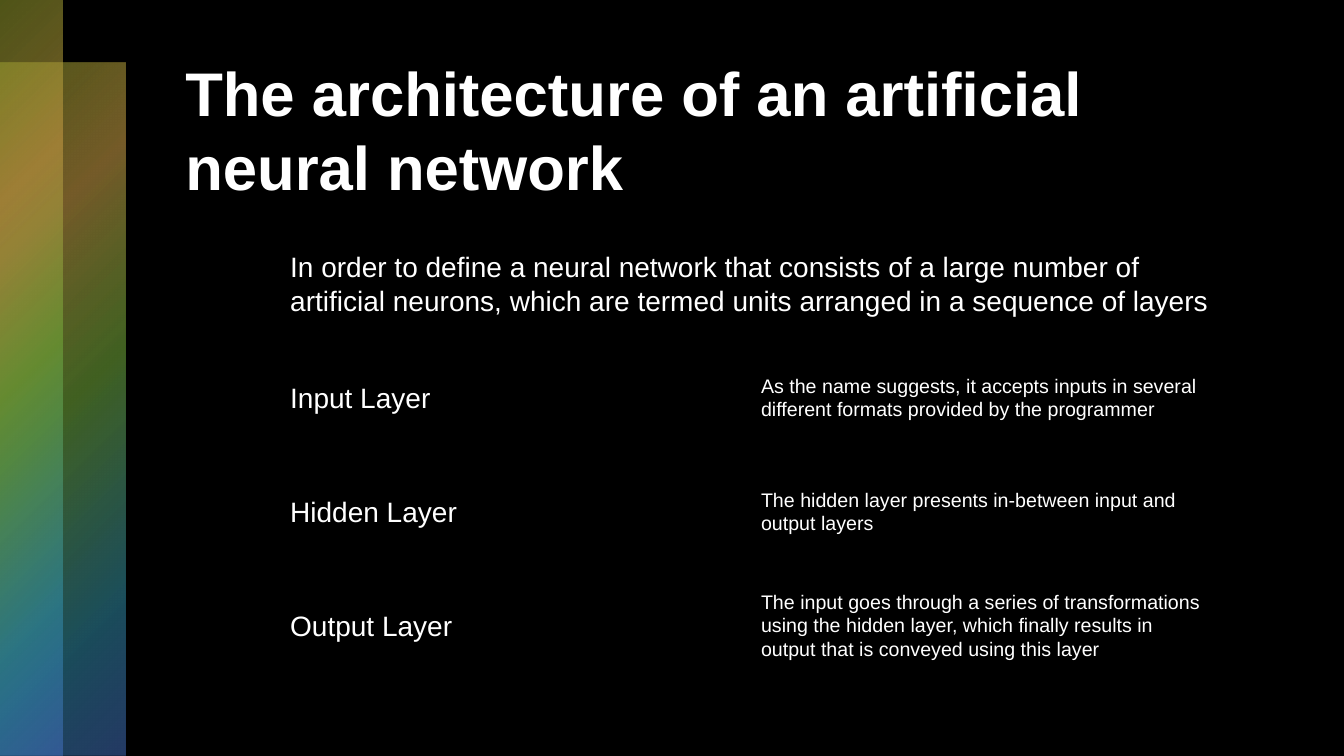
from dataclasses import dataclass

from lxml.etree import SubElement
from pptx import Presentation
from pptx.dml.color import RGBColor
from pptx.enum.shapes import MSO_SHAPE
from pptx.enum.text import MSO_ANCHOR
from pptx.oxml.ns import qn
from pptx.util import Inches, Pt

COLORS = {
    "black": "000000",
    "white": "FFFFFF",
    "olive": "9EA930",
    "amber": "C29844",
    "green": "76B03D",
    "teal": "3599B7",
    "blue": "4774C9",
}
SLIDE_WIDTH, SLIDE_HEIGHT = 13.33, 7.5


@dataclass(frozen=True)
class Band:
    top: float
    width: float
    green_stop: int


@dataclass(frozen=True)
class Label:
    text: str
    left: float
    top: float
    width: float
    height: float
    size: int
    bold: bool = False
    anchor: MSO_ANCHOR = MSO_ANCHOR.MIDDLE
    inset: float = 0.1


@dataclass(frozen=True)
class Layer:
    name: str
    description: str


BANDS = [Band(0.62, 1.24, 50), Band(0, 0.62, 49)]
CARD_LEFT, CARD_WIDTH = 1.74, 10.37
TITLE = Label("The architecture of an artificial neural network",
              CARD_LEFT, 0.5, CARD_WIDTH, 1.7, 44, True, MSO_ANCHOR.TOP, 0.05)
LAYERS = [
    Layer("Input Layer",
          "As the name suggests, it accepts inputs in several different "
          "formats provided by the programmer"),
    Layer("Hidden Layer",
          "The hidden layer presents in-between input and output layers"),
    Layer("Output Layer",
          "The input goes through a series of transformations using the "
          "hidden layer, which finally results in output that is conveyed "
          "using this layer"),
]
ROW_TOP, ROW_STEP, ROW_HEIGHT = 2.36, 1.13, 0.9
NAME_LEFT, DESCRIPTION_LEFT, COLUMN_WIDTH = 2.78, 7.45, 4.66
INTRO = Label("In order to define a neural network that consists of a large "
              "number of artificial neurons, which are termed units arranged "
              "in a sequence of layers",
              NAME_LEFT, ROW_TOP, 9.33, ROW_HEIGHT, 20)


def add_panel(s, kind: MSO_SHAPE, left: float, top: float,
              width: float, height: float):
    sp = s.shapes.add_shape(kind, Inches(left), Inches(top),
                            Inches(width), Inches(height))
    sp.shadow.inherit = False
    sp.line.fill.background()
    sp.fill.solid()
    sp.fill.fore_color.rgb = RGBColor.from_string(COLORS["black"])
    return sp


def add_band(s, band: Band) -> None:
    sp = add_panel(s, MSO_SHAPE.RECTANGLE, 0, band.top,
                   band.width, SLIDE_HEIGHT - band.top)
    sp.fill.gradient()
    grad = sp.element.spPr.find(qn("a:gradFill"))
    for child in list(grad):
        grad.remove(child)
    stops = SubElement(grad, qn("a:gsLst"))
    for pos, color, alpha in [(0, "olive", 50), (25, "amber", 60),
                              (band.green_stop, "green", 55),
                              (81, "teal", 50), (99, "blue", 50),
                              (100, "blue", 50)]:
        stop = SubElement(stops, qn("a:gs"), pos=str(pos * 1000))
        rgb = SubElement(stop, qn("a:srgbClr"), val=COLORS[color])
        SubElement(rgb, qn("a:alpha"), val=str(alpha * 1000))
    circle = SubElement(grad, qn("a:path"), path="circle")
    SubElement(circle, qn("a:fillToRect"), r="100000", b="100000")


def add_card(s, top: float) -> None:
    sp = add_panel(s, MSO_SHAPE.ROUNDED_RECTANGLE, CARD_LEFT, top,
                   CARD_WIDTH, ROW_HEIGHT)
    sp.adjustments[0] = 0.1


def add_label(s, label: Label) -> None:
    sp = s.shapes.add_textbox(Inches(label.left), Inches(label.top),
                              Inches(label.width), Inches(label.height))
    tf = sp.text_frame
    frame_format = {
        "word_wrap": True,
        "vertical_anchor": label.anchor,
        "margin_left": Inches(0.1),
        "margin_right": Inches(0.1),
        "margin_top": Inches(label.inset),
        "margin_bottom": Inches(label.inset),
    }
    for name, value in frame_format.items():
        setattr(tf, name, value)
    r = tf.paragraphs[0].add_run()
    r.text = label.text
    font_format = {"name": "Arial", "size": Pt(label.size), "bold": label.bold}
    for name, value in font_format.items():
        setattr(r.font, name, value)
    r.font.color.rgb = RGBColor.from_string(COLORS["white"])


def main() -> None:
    prs = Presentation()
    prs.slide_width = Inches(SLIDE_WIDTH)
    prs.slide_height = Inches(SLIDE_HEIGHT)
    s = prs.slides.add_slide(prs.slide_layouts[6])
    fill = s.background.fill
    fill.solid()
    fill.fore_color.rgb = RGBColor.from_string(COLORS["black"])
    add_panel(s, MSO_SHAPE.RECTANGLE, 0, 0, SLIDE_WIDTH, SLIDE_HEIGHT)
    for band in BANDS:
        add_band(s, band)
    add_label(s, TITLE)
    add_card(s, ROW_TOP)
    add_label(s, INTRO)
    for row, layer in enumerate(LAYERS, start=1):
        top = ROW_TOP + row * ROW_STEP
        add_card(s, top)
        add_label(s, Label(layer.name, NAME_LEFT, top,
                           COLUMN_WIDTH, ROW_HEIGHT, 20))
        add_label(s, Label(layer.description, DESCRIPTION_LEFT, top,
                           COLUMN_WIDTH, ROW_HEIGHT, 14))
    prs.save("out.pptx")


if __name__ == "__main__":
    main()
